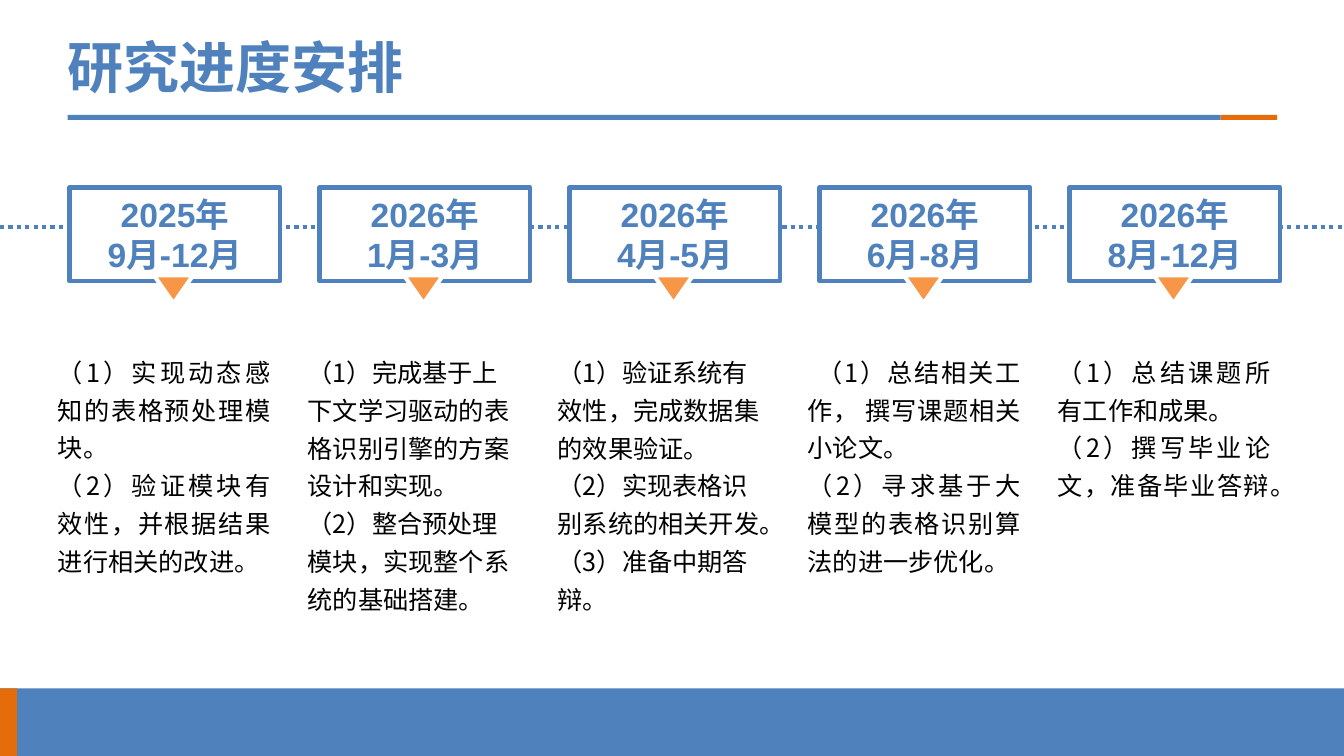
from dataclasses import dataclass

from lxml import etree
from pptx import Presentation
from pptx.dml.color import RGBColor
from pptx.enum.dml import MSO_LINE
from pptx.enum.shapes import MSO_CONNECTOR, MSO_SHAPE
from pptx.enum.text import MSO_ANCHOR, MSO_AUTO_SIZE, PP_ALIGN
from pptx.oxml.ns import qn
from pptx.util import Pt

RECTANGLE, TRIANGLE = MSO_SHAPE.RECTANGLE, MSO_SHAPE.ISOSCELES_TRIANGLE
STRAIGHT, DOTTED = MSO_CONNECTOR.STRAIGHT, MSO_LINE.ROUND_DOT
LEFT, CENTER, JUSTIFY = PP_ALIGN.LEFT, PP_ALIGN.CENTER, PP_ALIGN.JUSTIFY
MIDDLE, TOP = MSO_ANCHOR.MIDDLE, MSO_ANCHOR.TOP
FIXED, GROW = MSO_AUTO_SIZE.NONE, MSO_AUTO_SIZE.SHAPE_TO_FIT_TEXT

TITLE = "研究进度安排"
# year, months, task alignment, lines the tasks take up, tasks
STAGES = [
    ("2025年", "9月-12月", JUSTIFY, 6,
     ["（1）实现动态感知的表格预处理模块。",
      "（2）验证模块有效性，并根据结果进行相关的改进。"]),
    ("2026年", "1月-3月", LEFT, 7,
     ["（1）完成基于上下文学习驱动的表格识别引擎的方案设计和实现。",
      "（2）整合预处理模块，实现整个系统的基础搭建。"]),
    ("2026年", "4月-5月", LEFT, 7,
     ["（1）验证系统有效性，完成数据集的效果验证。",
      "（2）实现表格识别系统的相关开发。（3）准备中期答辩。"]),
    ("2026年", "6月-8月", JUSTIFY, 6,
     [" （1）总结相关工作， 撰写课题相关小论文。",
      "（2）寻求基于大模型的表格识别算法的进一步优化。"]),
    ("2026年", "8月-12月", JUSTIFY, 4,
     ["（1）总结课题所有工作和成果。",
      "（2）撰写毕业论文，准备毕业答辩。"]),
]


@dataclass(frozen=True)
class Theme:
    blue: RGBColor = RGBColor(0x4F, 0x81, 0xBD)
    orange: RGBColor = RGBColor(0xE4, 0x6C, 0x0A)
    marker: RGBColor = RGBColor(0xF7, 0x96, 0x46)
    white: RGBColor = RGBColor(0xFF, 0xFF, 0xFF)
    black: RGBColor = RGBColor(0, 0, 0)
    latin: str = "Arial"
    chinese: str = "Noto Sans CJK SC"
    title_size: int = 40
    date_size: int = 24
    task_size: int = 18
    stroke: int = 3


THEME = Theme()
SLIDE_W, SLIDE_H = 960, 540
MARGIN, TITLE_W = 48.24, 864
RULE_Y, RULE_H, RULE_SPLIT, RULE_END = 82.1, 3.6, 871.9, 912.2
FOOTER_H, FOOTER_TAB_W = 48.2, 12.2
PITCH = 178.56
DATE_X, DATE_Y, DATE_W, DATE_H = 49.7, 133.9, 150.5, 67
TIMELINE_Y = 162
MARKER_Y, MARKER_W, MARKER_H = 196.6, 28.1, 20.2
TASK_X, TASK_Y, TASK_W, TASK_LINE_H = 41.3, 249.8, 151.9, 26.9


def add_block(slide, kind, x, y, w, h, fill, outline=None):
    block = slide.shapes.add_shape(kind, Pt(x), Pt(y), Pt(w), Pt(h))
    block.shadow.inherit = False
    block.fill.solid()
    block.fill.fore_color.rgb = fill
    if outline is None:
        block.line.fill.background()
    else:
        block.line.color.rgb = outline
        block.line.width = Pt(THEME.stroke)
    return block


def write(shape, lines, size, color, latin, align, spacing=None, bold=False):
    """Fill a shape with one paragraph per line, all in the same style."""
    frame = shape.text_frame
    frame.text = "\n".join(lines)
    frame.word_wrap = True
    for paragraph in frame.paragraphs:
        paragraph.alignment = align
        if spacing:
            paragraph.line_spacing = spacing
        for run in paragraph.runs:
            run.font.size = Pt(size)
            run.font.bold = bold
            run.font.color.rgb = color
            run.font.name = latin
            east_asian = etree.Element(qn("a:ea"), typeface=THEME.chinese)
            run.font._element.find(qn("a:latin")).addnext(east_asian)


def set_frame(shape, anchor, auto_size):
    frame = shape.text_frame
    frame.margin_left = frame.margin_right = 0
    frame.margin_top = frame.margin_bottom = 0
    frame.vertical_anchor = anchor
    frame.auto_size = auto_size


def add_title(slide):
    title = slide.shapes.title
    title.left, title.top = Pt(MARGIN), Pt(18)
    title.width, title.height = Pt(TITLE_W), Pt(64.1)
    write(title, [TITLE], THEME.title_size, THEME.blue, THEME.chinese, LEFT, 0.9, True)
    set_frame(title, MIDDLE, FIXED)


def add_bands(slide):
    footer_y = SLIDE_H - FOOTER_H
    for x, y, w, h, fill in [
        (MARGIN, RULE_Y, RULE_SPLIT - MARGIN, RULE_H, THEME.blue),
        (RULE_SPLIT, RULE_Y, RULE_END - RULE_SPLIT, RULE_H, THEME.orange),
        (0, footer_y, SLIDE_W, FOOTER_H, THEME.blue),
        (0, footer_y, FOOTER_TAB_W, FOOTER_H, THEME.orange),
    ]:
        add_block(slide, RECTANGLE, x, y, w, h, fill)


def add_timeline(slide):
    timeline = slide.shapes.add_connector(
        STRAIGHT, 0, Pt(TIMELINE_Y), Pt(SLIDE_W), Pt(TIMELINE_Y))
    timeline.line.color.rgb = THEME.blue
    timeline.line.width = Pt(THEME.stroke)
    timeline.line.dash_style = DOTTED
    etree.SubElement(timeline._element.spPr, qn("a:effectLst"))


def add_stage(slide, column, year, months, align, line_count, tasks):
    date_x = DATE_X + column * PITCH
    date = add_block(slide, RECTANGLE, date_x, DATE_Y, DATE_W, DATE_H,
                     THEME.white, THEME.blue)
    write(date, [year, months], THEME.date_size, THEME.blue, THEME.latin,
          CENTER, bold=True)
    date.text_frame.vertical_anchor = MIDDLE

    marker_x = date_x + (DATE_W - MARKER_W) / 2 - 1
    marker = add_block(slide, TRIANGLE, marker_x, MARKER_Y, MARKER_W, MARKER_H,
                       THEME.marker, THEME.white)
    marker.rotation = 180

    task_box = slide.shapes.add_textbox(
        Pt(TASK_X + column * PITCH), Pt(TASK_Y),
        Pt(TASK_W), Pt(line_count * TASK_LINE_H))
    write(task_box, tasks, THEME.task_size, THEME.black, THEME.chinese, align, 1.25)
    set_frame(task_box, TOP, GROW)


def main():
    deck = Presentation()
    deck.slide_width, deck.slide_height = Pt(SLIDE_W), Pt(SLIDE_H)
    slide = deck.slides.add_slide(deck.slide_layouts.get_by_name("Title Only"))
    add_title(slide)
    add_bands(slide)
    add_timeline(slide)
    for column, stage in enumerate(STAGES):
        add_stage(slide, column, *stage)
    deck.save("out.pptx")


if __name__ == "__main__":
    main()
